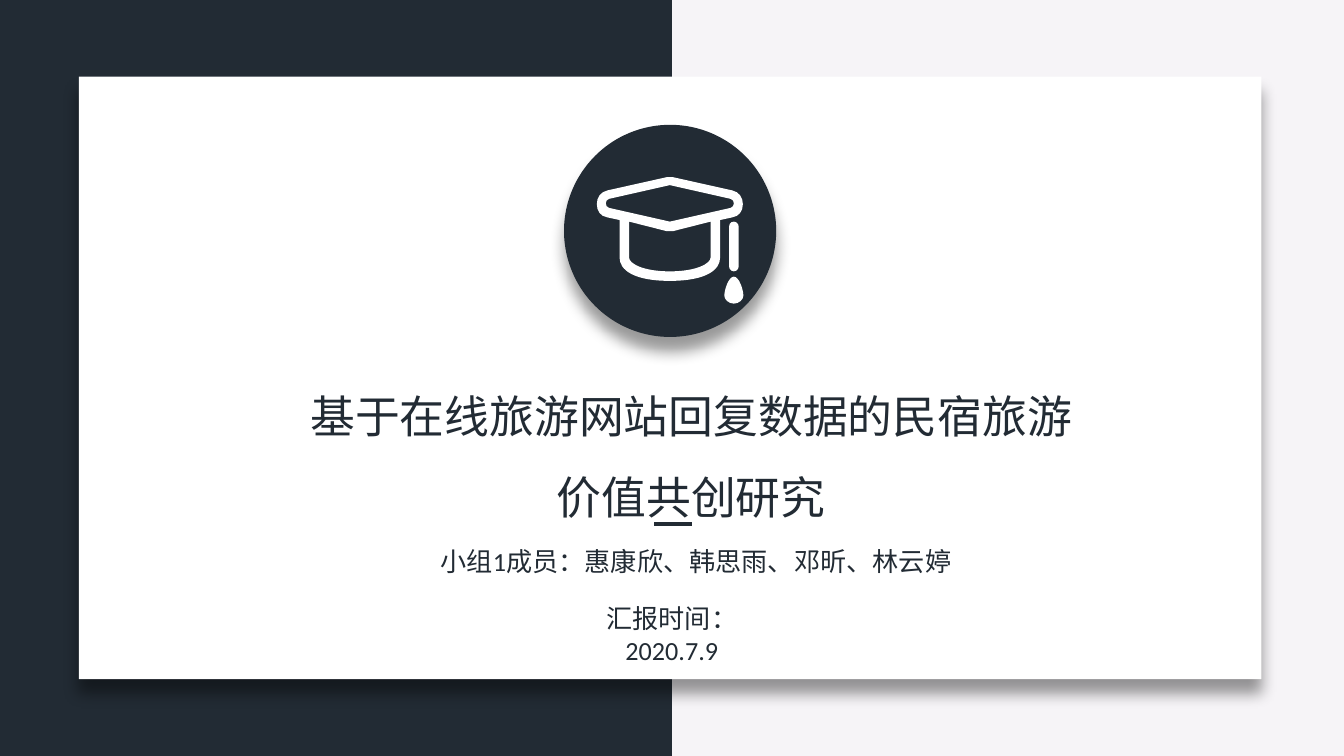
from dataclasses import dataclass

from lxml.etree import SubElement
from pptx import Presentation
from pptx.dml.color import RGBColor
from pptx.enum.shapes import MSO_CONNECTOR, MSO_SHAPE
from pptx.enum.text import MSO_ANCHOR, MSO_AUTO_SIZE, PP_ALIGN
from pptx.oxml.ns import qn
from pptx.util import Cm, Pt


@dataclass(frozen=True)
class Theme:
    """Colours, font and type sizes of the deck."""

    dark: RGBColor = RGBColor(0x22, 0x2B, 0x34)
    light: RGBColor = RGBColor(0xF6, 0xF4, 0xF7)
    white: RGBColor = RGBColor(0xFF, 0xFF, 0xFF)
    font: str = "Calibri"
    title: Pt = Pt(24)
    body: Pt = Pt(14)


THEME = Theme()

CAP_OUTLINE = [
    (0, 0), (6, 0), (118, 25),
    (131, 28, 138, 38, 138, 51), (138, 64, 131, 74, 118, 76),
    (95, 81), (95, 152), (95, 175, 69, 196, 0, 196),
]
BOARD_HOLE = [(0, 15), (115, 41), (123, 43, 123, 56, 115, 58), (0, 84)]
BOWL_HOLE = [(0, 102), (6, 102), (77, 84), (77, 152), (77, 163, 51, 178, 0, 178)]
TASSEL = [(0, 0), (10, 0, 18, 25, 18, 36), (18, 43, 10, 51, 0, 51)]


def paint(sp, color):
    """Give a shape a flat fill with no outline or inherited shadow."""
    sp.shadow.inherit = False
    sp.fill.solid()
    sp.fill.fore_color.rgb = color
    sp.line.fill.background()


def add_block(s, kind, box, color, shadow=False):
    """Add a preset shape, optionally with a soft shadow below it."""
    sp = s.shapes.add_shape(kind, *map(Cm, box))
    paint(sp, color)
    if shadow:
        effects = sp.element.spPr.find(qn("a:effectLst"))
        outer = SubElement(effects, qn("a:outerShdw"), blurRad=str(Pt(8)),
                           dist=str(Pt(8)), dir="5400000", algn="t", rotWithShape="0")
        rgb = SubElement(outer, qn("a:srgbClr"), val="000000")
        SubElement(rgb, qn("a:alpha"), val="40000")
    return sp


def bend(sp, counts):
    """Merge each run of three line points of a freeform into a cubic curve."""
    lines = iter(list(sp.element.iter(qn("a:lnTo"))))
    for count in counts:
        first = next(lines)
        if count == 3:
            first.tag = qn("a:cubicBezTo")
            for line in (next(lines), next(lines)):
                first.append(line[0])
                line.getparent().remove(line)


def add_symmetric(s, x, y, halves, color):
    """Add a freeform from right halves mirrored about the axis at x."""
    builder = s.shapes.build_freeform(*halves[0][0], scale=Cm(0.01))
    counts = []
    for i, half in enumerate(halves):
        right = [seg[k:k + 2] for seg in half for k in range(0, len(seg), 2)]
        left = [(-px, py) for px, py in reversed(right[:-1])]
        sizes = [len(seg) // 2 for seg in half[1:]]
        counts += sizes + sizes[::-1]
        if i:
            builder.move_to(*right[0])
        builder.add_line_segments(right[1:] + left, close=True)
    sp = builder.convert_to_shape(Cm(x), Cm(y))
    bend(sp, counts)
    paint(sp, color)


def add_rule(s, x1, x2, y):
    """Add a short horizontal line."""
    line = s.shapes.add_connector(MSO_CONNECTOR.STRAIGHT, Cm(x1), Cm(y), Cm(x2), Cm(y))
    line.line.color.rgb = THEME.dark
    line.line.width = Pt(2.25)
    SubElement(line.element.spPr, qn("a:effectLst"))


def write(sp, box, lines, size, align, spacing=None):
    """Place a text shape in front and fill it with one paragraph per line."""
    sp.left, sp.top, sp.width, sp.height = map(Cm, box)
    sp.element.getparent().append(sp.element)
    tf = sp.text_frame
    tf.word_wrap = True
    tf.auto_size = MSO_AUTO_SIZE.SHAPE_TO_FIT_TEXT
    tf.vertical_anchor = MSO_ANCHOR.TOP
    for i, line in enumerate(lines):
        p = tf.add_paragraph() if i else tf.paragraphs[0]
        p.alignment = align
        p.line_spacing = spacing
        p.space_before = Pt(0)
        r = p.add_run()
        r.text = line
        r.font.size = size
        r.font.name = THEME.font
        r.font.color.rgb = THEME.dark


def add_emblem(s):
    """Add the round badge with the graduation cap."""
    add_block(s, MSO_SHAPE.OVAL, (10.66, 2.36, 4.01, 4.01), THEME.dark, shadow=True)
    add_symmetric(s, 12.66, 3.35, [CAP_OUTLINE, BOARD_HOLE, BOWL_HOLE], THEME.white)
    cord = add_block(s, MSO_SHAPE.ROUNDED_RECTANGLE, (13.78, 4.19, 0.18, 0.94), THEME.white)
    cord.adjustments[0] = 0.5
    add_symmetric(s, 13.87, 5.23, [TASSEL], THEME.white)


def main():
    """Build the cover slide and save it."""
    prs = Presentation()
    prs.slide_width, prs.slide_height = Cm(25.4), Cm(14.29)
    s = prs.slides.add_slide(prs.slide_layouts[0])
    s.background.fill.solid()
    s.background.fill.fore_color.rgb = THEME.light

    add_block(s, MSO_SHAPE.RECTANGLE, (0, 0, 12.7, 14.29), THEME.dark)
    add_block(s, MSO_SHAPE.RECTANGLE, (1.49, 1.45, 22.35, 11.39), THEME.white, shadow=True)
    write(s.shapes.title, (5.54, 6.72, 15.04, 3.18),
          ["基于在线旅游网站回复数据的民宿旅游", "价值共创研究"],
          THEME.title, PP_ALIGN.CENTER, 1.5)
    add_rule(s, 12.36, 13.08, 9.9)
    add_emblem(s)
    date = s.shapes.add_textbox(0, 0, 0, 0)
    write(date, (10.35, 11.27, 4.7, 0.86), ["汇报时间：2020.7.9"],
          THEME.body, PP_ALIGN.CENTER)
    write(s.placeholders[1], (8.07, 10.19, 10.24, 0.86),
          ["小组1成员：惠康欣、韩思雨、邓昕、林云婷"], THEME.body, PP_ALIGN.LEFT)
    prs.save("out.pptx")


if __name__ == "__main__":
    main()
